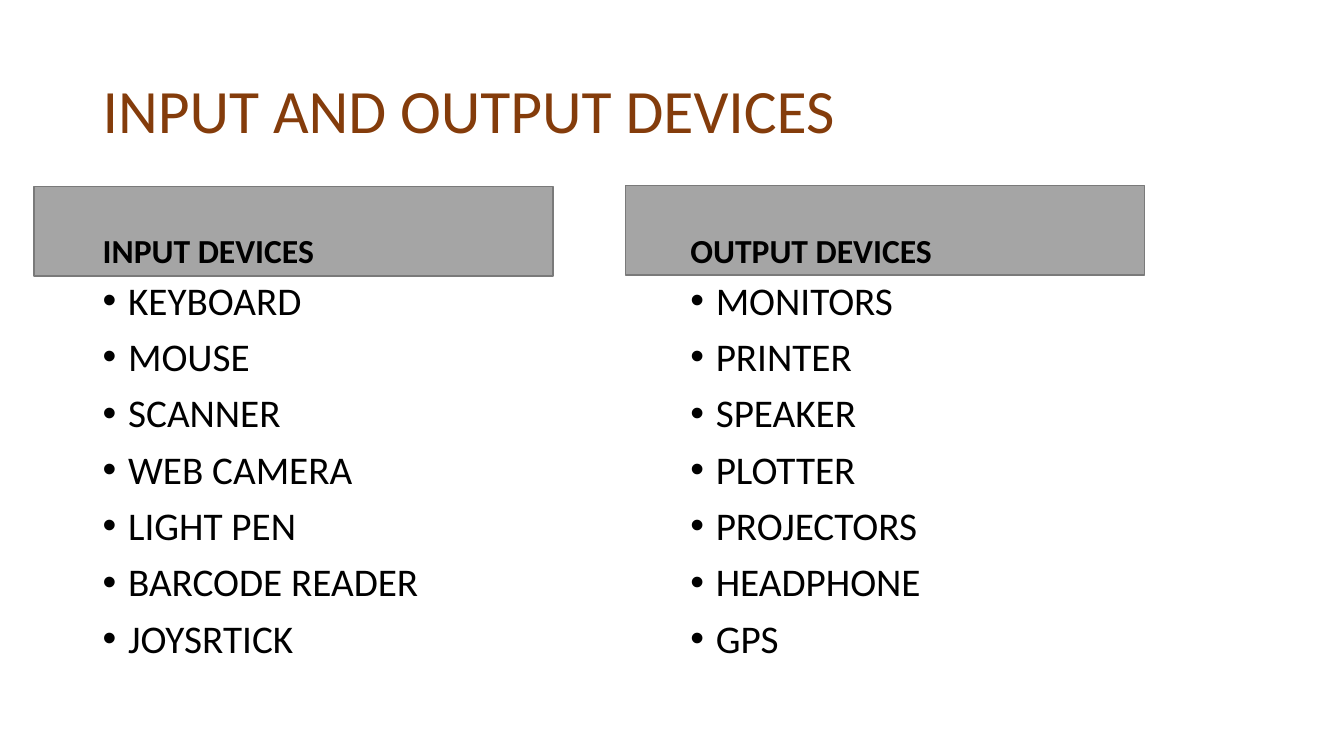
from lxml.etree import SubElement
from pptx import Presentation
from pptx.dml.color import RGBColor
from pptx.enum.shapes import MSO_SHAPE
from pptx.enum.text import MSO_ANCHOR
from pptx.oxml.ns import qn
from pptx.util import Cm, Pt


def paint(form, color):
    """Set a fill, line or font colour from a hex string."""
    form.rgb = RGBColor.from_string(color)


def write(box, lines, style, anchor, before=0, dots=False):
    """Add a text box with one paragraph per line."""
    frame = slide.shapes.add_textbox(*map(Cm, box)).text_frame
    frame.word_wrap = True
    frame.vertical_anchor = anchor
    for i, line in enumerate(lines):
        para = frame.paragraphs[0] if i == 0 else frame.add_paragraph()
        para.line_spacing = 0.9
        para.space_before = Pt(before)
        run = para.add_run()
        run.text = line
        for key, value in style.items():
            if key == "color":
                paint(run.font.color, value)
            else:
                setattr(run.font, key, value)
        if dots:
            props = para._p.get_or_add_pPr()
            props.set("marL", str(Cm(0.64)))
            props.set("indent", str(-Cm(0.64)))
            SubElement(props, qn("a:buFont"), typeface="Arial")
            SubElement(props, qn("a:buChar"), char="•")


deck = Presentation()
deck.slide_width, deck.slide_height = Cm(33.87), Cm(19.05)
slide = deck.slides.add_slide(deck.slide_layouts[6])

title = {"name": "Calibri", "size": Pt(44), "color": "843C0B"}
head = {"name": "Calibri", "size": Pt(24), "bold": True, "color": "000000"}
item = {"name": "Calibri", "size": Pt(28), "color": "000000"}

write((2.34, 1.02, 29.21, 3.68), ["INPUT AND OUTPUT DEVICES"], title,
      MSO_ANCHOR.MIDDLE)

# Bar left, bar top, text left, text width, heading, devices
columns = [
    (0.86, 4.7, 2.34, 14.33, "INPUT DEVICES",
     ["KEYBOARD", "MOUSE", "SCANNER", "WEB CAMERA", "LIGHT PEN",
      "BARCODE READER", "JOYSRTICK"]),
    (15.77, 4.67, 17.15, 14.4, "OUTPUT DEVICES",
     ["MONITORS", "PRINTER", "SPEAKER", "PLOTTER", "PROJECTORS",
      "HEADPHONE", "GPS"]),
]
for edge, top, left, width, name, items in columns:
    bar = slide.shapes.add_shape(MSO_SHAPE.RECTANGLE, Cm(edge), Cm(top),
                                 Cm(13.08), Cm(2.26))
    bar.shadow.inherit = False
    bar.fill.solid()
    paint(bar.fill.fore_color, "A5A5A5")
    paint(bar.line.color, "7A7A7A")
    bar.line.width = Pt(1)
    write((left, 4.67, width, 2.29), [name], head, MSO_ANCHOR.BOTTOM, 10)
    write((left, 6.96, width, 10.24), items, item, MSO_ANCHOR.TOP, 10, True)

deck.save("out.pptx")
